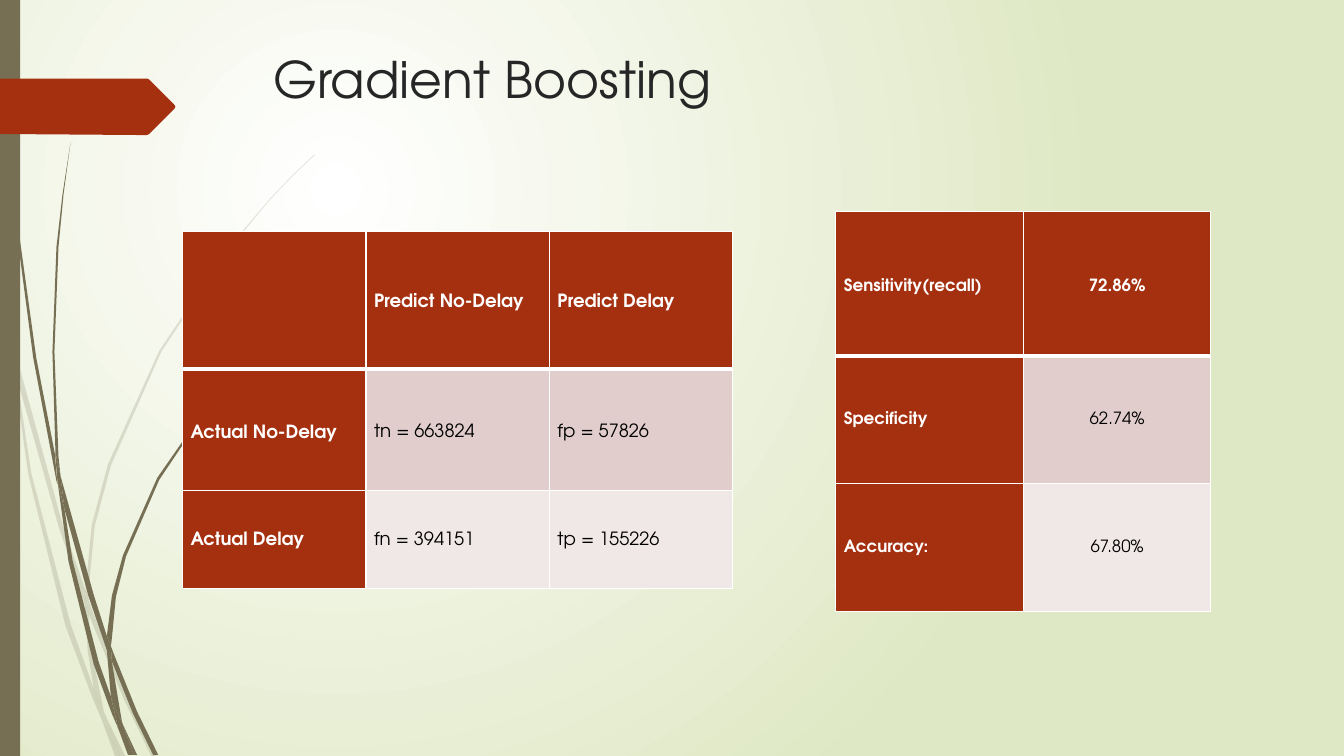
import dataclasses
import lxml.etree
import pptx
import pptx.dml.color
import pptx.enum.text
import pptx.oxml
import pptx.oxml.ns
import pptx.util

Inches = pptx.util.Inches
Align = pptx.enum.text.PP_ALIGN
Middle = pptx.enum.text.MSO_ANCHOR.MIDDLE
qn = pptx.oxml.ns.qn


@dataclasses.dataclass(frozen=True)
class Theme:
    font: str = "TeX Gyre Adventor"
    head: int = 36
    big: int = 13
    small: int = 12
    white: str = "FFFFFF"
    black: str = "000000"
    ink: str = "262626"
    glow: str = "DFE8C4"
    stem: str = "766F54"
    red: str = "A53010"
    bands: tuple = ("E1CDCC", "F0E8E7")


class Page:
    def __init__(self, deck, theme):
        self.theme = theme
        self.slide = deck.slides.add_slide(deck.slide_layouts[5])
        self.shapes = self.slide.shapes

    def color(self, code):
        return pptx.dml.color.RGBColor.from_string(code)

    def paint(self, shape, code, alpha=100):
        shape.shadow.inherit = False
        shape.fill.solid()
        shape.fill.fore_color.rgb = self.color(code)
        shape.line.fill.background()
        if alpha < 100:
            tone = shape._element.spPr.find(qn("a:solidFill"))[0]
            lxml.etree.SubElement(tone, qn("a:alpha"), val=str(alpha * 1000))

    def backdrop(self, inner, outer):
        fill = self.slide.background.fill
        fill.gradient()
        for stop, code, place in zip(fill.gradient_stops, (inner, outer), (0, 1)):
            stop.color.rgb = self.color(code)
            stop.position = place
        grad = self.slide._element.find(".//" + qn("a:gradFill"))
        grad.remove(grad.find(qn("a:lin")))
        ring = lxml.etree.SubElement(grad, qn("a:path"), path="circle")
        lxml.etree.SubElement(ring, qn("a:fillToRect"), l="50000", t="50000", r="100000", b="100000")

    def outline(self, text, code, alpha=100):
        dots = [tuple(Inches(float(n)) for n in dot.split(",")) for dot in text.split()]
        pen = self.shapes.build_freeform(*dots[0], scale=1.0)
        pen.add_line_segments(dots[1:], close=True)
        self.paint(pen.convert_to_shape(), code, alpha)

    def bar(self, box, code):
        kind = pptx.enum.shapes.MSO_SHAPE.RECTANGLE
        self.paint(self.shapes.add_shape(kind, *map(Inches, box)), code)

    def style(self, para, size, code, bold=False):
        for run in para.runs:
            run.font.name = self.theme.font
            run.font.size = pptx.util.Pt(size)
            run.font.bold = bold
            run.font.color.rgb = self.color(code)

    def title(self, text, box):
        head = self.shapes.title
        head.left, head.top, head.width, head.height = map(Inches, box)
        frame = head.text_frame
        frame.text = text
        frame.vertical_anchor = Middle
        para = frame.paragraphs[0]
        para.alignment = Align.LEFT
        self.style(para, self.theme.head, self.theme.ink)
        self.shapes._spTree.append(head._element)

    def edges(self, cell, row):
        widths = {"L": 1, "R": 1, "T": 3 if row == 1 else 1, "B": 3 if row == 0 else 1}
        for spot, (side, width) in enumerate(widths.items()):
            line = lxml.etree.Element(qn("a:ln" + side), w=str(pptx.util.Pt(width)))
            fill = lxml.etree.SubElement(line, qn("a:solidFill"))
            lxml.etree.SubElement(fill, qn("a:srgbClr"), val=self.theme.white)
            cell._tc.get_or_add_tcPr().insert(spot, line)

    def table(self, spot, wide, highs, rows, size, pads, align):
        count = len(rows[0])
        box = (*spot, wide * count, sum(highs))
        grid = self.shapes.add_table(len(rows), count, *map(Inches, box)).table
        for col in grid.columns:
            col.width = Inches(wide)
        for r, row in enumerate(rows):
            grid.rows[r].height = Inches(highs[r])
            for c, text in enumerate(row):
                cell = grid.cell(r, c)
                key = r == 0 or c == 0
                cell.fill.solid()
                cell.fill.fore_color.rgb = self.color(self.theme.red if key else self.theme.bands[r - 1])
                self.edges(cell, r)
                cell.vertical_anchor = Middle
                cell.margin_left = cell.margin_right = Inches(0.08)
                cell.margin_top, cell.margin_bottom = map(Inches, pads[r])
                cell.text_frame.text = text
                para = cell.text_frame.paragraphs[0]
                para.alignment = align if c else Align.JUSTIFY
                para.line_spacing = 1.07
                self.style(para, size, self.theme.white if key else self.theme.black, key)


PALE = (
    "0.11,3.5 0.09,3.22 0,2.82 0,2.99 0.1,3.44",
    "0.58,5.22 0.84,5.99 0.85,5.86 0.62,5.2 0.14,3.45 0.17,3.76",
    "0.92,6.07 0.88,5.96 0.88,6.1 1.23,6.94 1.5,7.5 1.55,7.5 1.27,6.92",
    "1.19,7.5 1.24,7.5 1.05,7.11",
    "0.93,6.83 0.7,6.19 0.31,4.69 0.17,3.76 0.11,3.5 0.28,4.7 0.65,6.21 0.92,6.93 1.01,7.14 0.99,7.07",
    "0.84,5.99 0.87,6.46 0.93,6.83 0.96,6.92 1.05,7.11 1.03,7.06 0.91,6.46 0.88,6.1 0.88,6.08",
    "0.88,5.84 0.94,5.22 1.1,4.62 1.6,3.49 2.29,2.45 2.68,1.98 2.9,1.75 3.12,1.54 3.12,1.53 2.89,1.75 "
    "2.68,1.97 2.28,2.44 1.58,3.48 1.07,4.61 0.91,5.21 0.85,5.84 0.85,5.86 0.88,5.96",
    "1.01,7.14 1.14,7.5 1.19,7.5",
    "0.88,6.08 0.88,6.1 0.88,5.96 0.85,5.86 0.84,5.99",
    "0.96,6.92 0.93,6.83 0.99,7.07 1.01,7.14 1.19,7.5 1.05,7.11",
)
DARK = (
    "0.07,1.1 0.17,2.33 0.33,3.55 0.56,4.77 0.57,4.81 0.55,4.57 0.55,4.53 0.36,3.55 0.19,2.32 "
    "0.08,1.09 0.05,0.48 0.04,0 0.03,0 0.04,0.48",
    "0.88,5.92 1.06,6.45 1.06,6.31 0.93,5.9 0.6,4.72 0.64,5.05",
    "1.13,6.49 1.1,6.41 1.11,6.56 1.32,7.08 1.52,7.49 1.57,7.49 1.36,7.06",
    "1.1,6.91 0.98,6.57 0.72,5.56 0.64,5.05 0.57,4.77 0.68,5.57 0.93,6.59 1.11,7.08 1.17,7.22 1.16,7.17",
    "0.6,4.72 0.58,4.53 0.54,3.49 0.58,2.45 0.63,1.93 0.7,1.41 0.62,1.93 0.56,2.45 0.52,3.49 0.55,4.49",
    "1.33,7.49 1.36,7.49 1.22,7.19",
    "0.57,4.77 0.64,5.05 0.6,4.72 0.55,4.49 0.55,4.53",
    "1.11,6.33 1.15,5.92 1.25,5.52 1.58,4.76 2.05,4.06 2.31,3.74 2.45,3.59 2.61,3.44 2.6,3.44 2.45,3.58 "
    "2.31,3.73 2.04,4.05 1.56,4.74 1.22,5.51 1.11,5.91 1.06,6.31 1.1,6.41",
    "1.17,7.22 1.27,7.49 1.31,7.49",
    "1.06,6.45 1.1,6.91 1.16,7.06 1.22,7.19 1.21,7.16 1.11,6.56 1.09,6.51",
    "1.06,6.45 1.09,6.51 1.11,6.56 1.1,6.41 1.06,6.31",
    "1.16,7.06 1.1,6.91 1.16,7.17 1.17,7.22 1.3,7.49 1.33,7.49 1.22,7.19",
)
ARROW = "0,0.78 1.46,0.78 1.48,0.79 1.73,1.04 1.74,1.06 1.73,1.08 1.48,1.33 1.46,1.34 1.36,1.34 0,1.33"

COUNTS = (
    ("", "Predict No-Delay", "Predict Delay"),
    ("Actual No-Delay", "tn = 663824", "fp = 57826"),
    ("Actual Delay", "fn = 394151", "tp = 155226"),
)
SCORES = (
    ("Sensitivity(recall)", "72.86%"),
    ("Specificity", "62.74%"),
    ("Accuracy:", "67.80%"),
)

deck = pptx.Presentation()
deck.slide_width, deck.slide_height = Inches(13.33), Inches(7.5)
theme = Theme()
page = Page(deck, theme)
page.backdrop(theme.white, theme.glow)
for blade in PALE:
    page.outline(blade, theme.stem, 20)
for blade in DARK:
    page.outline(blade, theme.stem)
page.bar((0, 0, 0.2, 7.5), theme.stem)
page.outline(ARROW, theme.red)
page.title("Gradient Boosting", (2.61, 0.4, 9.8, 0.76))
page.table((1.81, 2.3), 1.82, (1.36, 1.21, 0.97), COUNTS, theme.big,
           ((0.05, 0.03), (0.05, 0), (0, 0)), Align.JUSTIFY)
page.table((8.29, 2.1), 1.86, (1.43, 1.27, 1.27), SCORES, theme.small,
           ((0.05, 0), (0, 0), (0, 0)), Align.CENTER)
deck.save("out.pptx")
